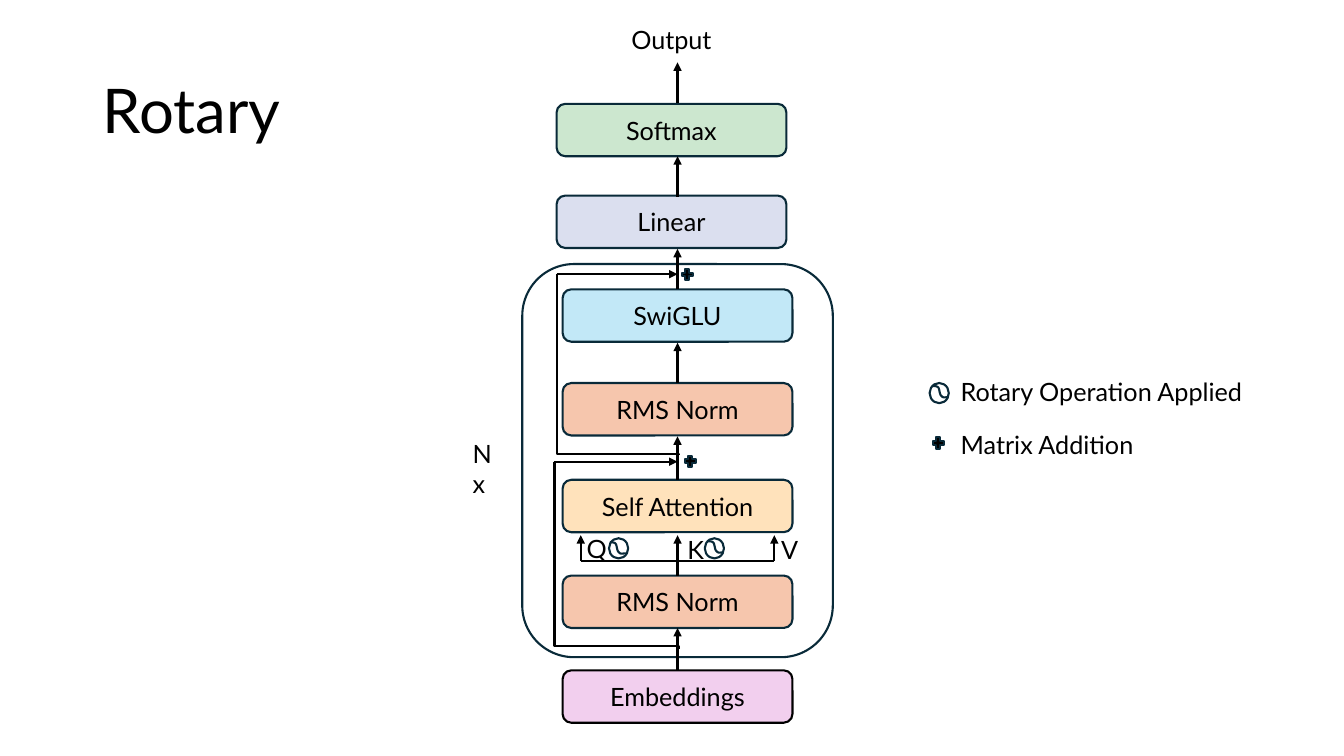
from lxml.etree import SubElement
from pptx import Presentation
from pptx.dml.color import RGBColor
from pptx.enum.shapes import MSO_CONNECTOR, MSO_SHAPE
from pptx.enum.text import MSO_ANCHOR, MSO_AUTO_SIZE, PP_ALIGN
from pptx.oxml.ns import qn
from pptx.util import Inches, Pt

COLORS = {
    "black": "000000",
    "outline": "092A39",
    "embeddings": "F2CFEE",
    "norm": "F6C6AD",
    "attention": "FFE2BB",
    "swiglu": "C2E8F7",
    "linear": "DBDFEF",
    "softmax": "CCE7CF",
}
WAVE_CURVES = [
    [(0, 0), (0.02, 0), (0.05, 0), (0.06, 0.02)],
    [(0.06, 0.02), (0.07, 0.04), (0.07, 0.09), (0.09, 0.10)],
    [(0.09, 0.10), (0.10, 0.12), (0.13, 0.11), (0.16, 0.11)],
]
CURVE_STEPS = 8


def curve_point(curve, position):
    rest = 1 - position
    weights = (rest**3, 3 * rest**2 * position, 3 * rest * position**2, position**3)
    return tuple(sum(w * point[axis] for w, point in zip(weights, curve)) for axis in (0, 1))


class DiagramSlide:
    font = "Lato"
    text_size = 18
    line_width = Pt(1.5)

    def __init__(self, presentation):
        self.slide = presentation.slides.add_slide(presentation.slide_layouts[5])
        self.shapes = self.slide.shapes

    def color(self, name):
        return RGBColor.from_string(COLORS[name])

    def add_text(self, frame, text, size=text_size, align=PP_ALIGN.LEFT):
        paragraph = frame.paragraphs[0]
        paragraph.alignment = align
        run = paragraph.add_run()
        run.text = text
        run.font.size = Pt(size)
        run.font.name = self.font
        run.font.color.rgb = self.color("black")
        return paragraph

    def title(self, text, left, top, width, height):
        shape = self.shapes.title
        shape.left, shape.top = Inches(left), Inches(top)
        shape.width, shape.height = Inches(width), Inches(height)
        shape.text_frame.vertical_anchor = MSO_ANCHOR.MIDDLE
        self.add_text(shape.text_frame, text, 44).line_spacing = 0.9

    def label(self, text, left, top, width, align=PP_ALIGN.LEFT):
        shape = self.shapes.add_textbox(Inches(left), Inches(top), Inches(width), Inches(0.4))
        shape.text_frame.word_wrap = True
        shape.text_frame.auto_size = MSO_AUTO_SIZE.SHAPE_TO_FIT_TEXT
        self.add_text(shape.text_frame, text, align=align)

    def finish(self, shape, fill=None, line="outline"):
        shape.shadow.inherit = False
        if fill:
            shape.fill.solid()
            shape.fill.fore_color.rgb = self.color(fill)
        else:
            shape.fill.background()
        shape.line.color.rgb = self.color(line)
        shape.line.width = self.line_width

    def shape(self, kind, left, top, width, height, fill=None, line="outline"):
        shape = self.shapes.add_shape(
            kind, Inches(left), Inches(top), Inches(width), Inches(height))
        self.finish(shape, fill, line)
        return shape

    def block(self, text, left, top, fill, line="outline"):
        shape = self.shape(MSO_SHAPE.ROUNDED_RECTANGLE, left, top, 2.28, 0.52, fill, line)
        shape.text_frame.vertical_anchor = MSO_ANCHOR.MIDDLE
        self.add_text(shape.text_frame, text, align=PP_ALIGN.CENTER)

    def connector(self, kind, start, end, arrow=False):
        connector = self.shapes.add_connector(kind, *map(Inches, start + end))
        connector.line.color.rgb = self.color("black")
        connector.line.width = self.line_width
        properties = connector._element.spPr
        if arrow:
            SubElement(properties.find(qn("a:ln")), qn("a:tailEnd"), type="triangle")
        SubElement(properties, qn("a:effectLst"))
        return properties

    def line(self, start, end, arrow=False):
        self.connector(MSO_CONNECTOR.STRAIGHT, start, end, arrow)

    def residual(self, start, end, bend, arrow_start):
        center_x, center_y = (start[0] + end[0]) / 2, (start[1] + end[1]) / 2
        half_x, half_y = (end[0] - start[0]) / 2, (end[1] - start[1]) / 2
        properties = self.connector(
            MSO_CONNECTOR.ELBOW,
            (center_x + half_y, center_y - half_x),
            (center_x - half_y, center_y + half_x))
        properties.find(qn("a:xfrm")).set("rot", str(270 * 60000))
        geometry = properties.find(qn("a:prstGeom"))
        adjustments = geometry.find(qn("a:avLst"))
        if adjustments is None:
            adjustments = SubElement(geometry, qn("a:avLst"))
        SubElement(adjustments, qn("a:gd"), name="adj1", fmla=f"val {round(bend * 100000)}")
        self.line(arrow_start, (6.72, start[1]), arrow=True)

    def rotary(self, left, top, wave_left, wave_top):
        self.shape(MSO_SHAPE.OVAL, left, top, 0.19, 0.2)
        points = [
            (Inches(wave_left + x), Inches(wave_top + y))
            for curve in WAVE_CURVES
            for x, y in (curve_point(curve, step / CURVE_STEPS)
                         for step in range(1, CURVE_STEPS + 1))
        ]
        builder = self.shapes.build_freeform(Inches(wave_left), Inches(wave_top))
        builder.add_line_segments(points, close=False)
        self.finish(builder.convert_to_shape())

    def plus(self, left, top):
        self.shape(MSO_SHAPE.MATH_PLUS, left, top, 0.15, 0.15, "black")


def main():
    presentation = Presentation()
    presentation.slide_width = Inches(13.33)
    presentation.slide_height = Inches(7.5)
    diagram = DiagramSlide(presentation)

    diagram.title("Rotary", 0.92, 0.4, 11.5, 1.45)
    diagram.shape(MSO_SHAPE.ROUNDED_RECTANGLE, 5.18, 2.62, 3.08, 3.9)
    diagram.block("Embeddings", 5.58, 6.65, "embeddings", "black")
    for text, left, top, fill in [
        ("RMS Norm", 5.58, 5.71, "norm"),
        ("Self Attention", 5.58, 4.76, "attention"),
        ("RMS Norm", 5.58, 3.8, "norm"),
        ("SwiGLU", 5.58, 2.87, "swiglu"),
        ("Linear", 5.52, 1.94, "linear"),
        ("Softmax", 5.52, 1.03, "softmax"),
    ]:
        diagram.block(text, left, top, fill)

    axis = 6.72
    for bottom, top in [(6.65, 6.23), (4.76, 4.33), (3.8, 3.4),
                        (2.87, 2.47), (1.95, 1.55), (1.02, 0.62)]:
        diagram.line((axis, bottom), (axis, top), arrow=True)

    diagram.line((axis, 5.71), (axis, 5.57))
    diagram.line((5.76, 5.57), (7.68, 5.57))
    for branch in (5.76, axis, 7.68):
        diagram.line((branch, 5.57), (branch, 5.31), arrow=True)
    for text, left, top in [("Q", 5.72, 5.24), ("K", 6.72, 5.25), ("V", 7.65, 5.25)]:
        diagram.label(text, left, top, 0.24)

    diagram.residual((5.5, 4.58), (6.73, 6.44), 0.984, (5.49, 4.58))
    diagram.residual((5.52, 2.72), (6.73, 4.51), 0.998, (5.52, 2.72))

    diagram.rotary(6.04, 5.34, 6.05, 5.38)
    diagram.rotary(6.99, 5.34, 7.02, 5.37)
    diagram.rotary(9.22, 3.8, 9.25, 3.83)
    for left, top in [(6.77, 4.5), (6.74, 2.65), (9.23, 4.32)]:
        diagram.plus(left, top)

    diagram.label("Rotary Operation Applied", 9.43, 3.68, 3.08)
    diagram.label("Matrix Addition", 9.43, 4.21, 2.96)
    diagram.label("Nx", 4.59, 4.3, 0.5)
    diagram.label("Output", 5.86, 0.19, 1.6, PP_ALIGN.CENTER)

    presentation.save("out.pptx")


if __name__ == "__main__":
    main()
